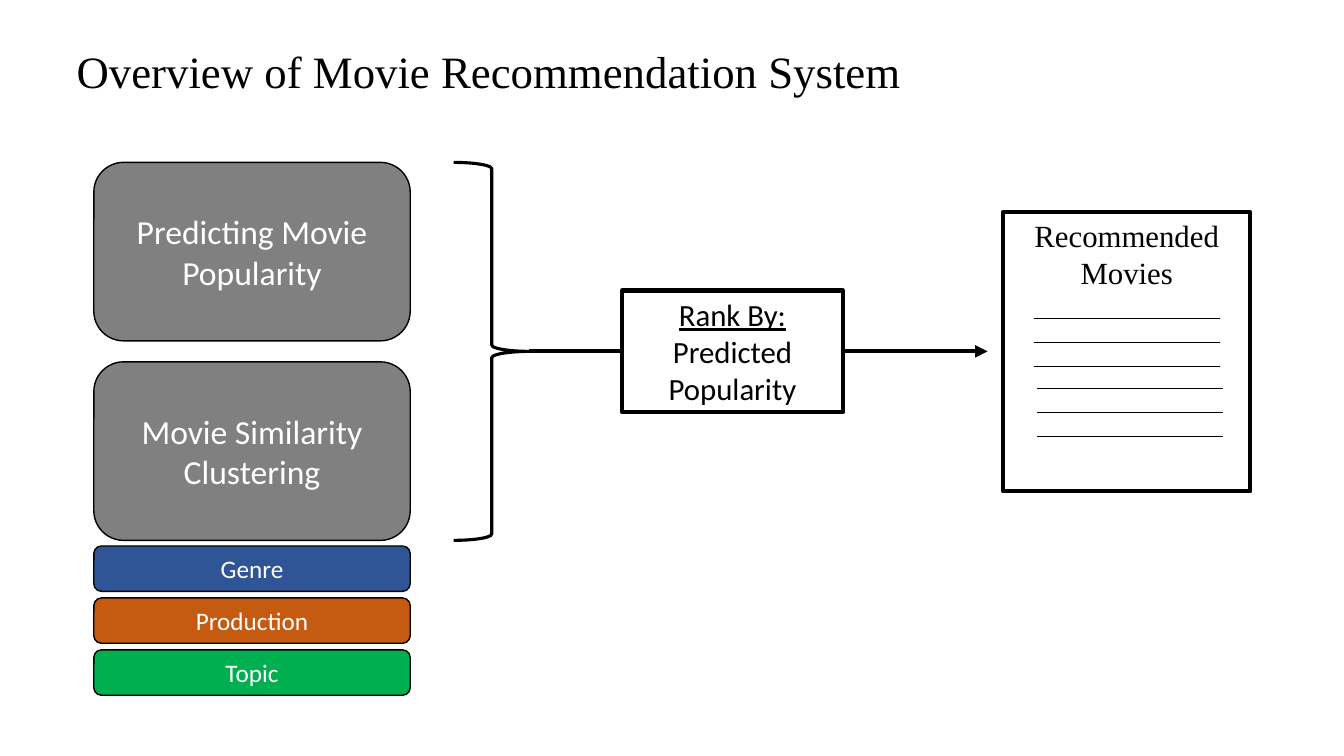
from lxml import etree
from pptx import Presentation
from pptx.dml.color import RGBColor
from pptx.enum import shapes as kinds, text as t
from pptx.oxml import ns
from pptx.util import Pt

COLORS = {"black": "000000", "white": "FFFFFF", "gray": "808080",
          "blue": "2F5597", "orange": "C55A11", "green": "00B050"}
SERIF, SANS = "Times New Roman", "Calibri"

presentation = Presentation()
presentation.slide_width, presentation.slide_height = Pt(960), Pt(540)
slide = presentation.slides.add_slide(presentation.slide_layouts[5])


def add_box(kind, box, fill, line_width, lines=(), size=22, color="black", font=SANS):
    shape = slide.shapes.add_shape(kind, *map(Pt, box))
    shape.shadow.inherit = False
    if fill:
        shape.fill.solid()
        shape.fill.fore_color.rgb = RGBColor.from_string(COLORS[fill])
    else:
        shape.fill.background()
    shape.line.color.rgb = RGBColor.from_string(COLORS["black"])
    shape.line.width = Pt(line_width)
    frame = shape.text_frame
    frame.word_wrap = True
    frame.vertical_anchor = t.MSO_ANCHOR.MIDDLE
    frame.text = "\n".join(lines)
    for paragraph in frame.paragraphs:
        paragraph.alignment = t.PP_ALIGN.CENTER
        paragraph.font.name, paragraph.font.size = font, Pt(size)
        paragraph.font.color.rgb = RGBColor.from_string(COLORS[color])
    return shape


def add_line(x1, x2, y, width):
    connector = slide.shapes.add_connector(
        kinds.MSO_CONNECTOR.STRAIGHT, Pt(x1), Pt(y), Pt(x2), Pt(y))
    connector.line.color.rgb = RGBColor.from_string(COLORS["black"])
    connector.line.width = Pt(width)
    etree.SubElement(connector.element.spPr, ns.qn("a:effectLst"))
    return connector


# Title
title = slide.shapes.title
title.left, title.top, title.width, title.height = Pt(47.5), Pt(27.5), Pt(609), Pt(46)
title.text_frame.text = "Overview of Movie Recommendation System"
title.text_frame.word_wrap = False
heading = title.text_frame.paragraphs[0]
heading.alignment = t.PP_ALIGN.LEFT
heading.font.name, heading.font.size = SERIF, Pt(32)
heading.font.color.rgb = RGBColor.from_string(COLORS["black"])

# Two models, then the clustering features
ROUNDED = kinds.MSO_SHAPE.ROUNDED_RECTANGLE
LEFT, TOP, WIDTH = 67, 116, 226
for i, label in enumerate(["Predicting Movie Popularity", "Movie Similarity Clustering"]):
    add_box(ROUNDED, (LEFT, TOP + i * 142.5, WIDTH, 127.5), "gray", 1, [label], 24, "white")
features = [("Genre", "blue"), ("Production", "orange"), ("Topic", "green")]
for i, (label, fill) in enumerate(features):
    add_box(ROUNDED, (LEFT, 390 + i * 37.1, WIDTH, 32.4), fill, 1, [label], 18, "white")

# Brace and arrow through the ranking step
MIDDLE = TOP + 135
add_box(kinds.MSO_SHAPE.RIGHT_BRACE, (324, TOP, 54.5, 270), None, 2.25)
arrow = add_line(378, 705.5, MIDDLE, 3)
etree.SubElement(arrow.line._get_or_add_ln(), ns.qn("a:tailEnd"), type="triangle")
ranking = add_box(kinds.MSO_SHAPE.RECTANGLE, (444.5, MIDDLE - 43.5, 157.5, 87), "white", 3,
                  ["Rank By:", "Predicted Popularity"])
ranking.text_frame.paragraphs[0].font.underline = True

# Recommended list
document = add_box(kinds.MSO_SHAPE.RECTANGLE, (716.5, 151.5, 176.5, 199.5), "white", 3,
                   ["Recommended Movies"], font=SERIF)
document.text_frame.vertical_anchor = t.MSO_ANCHOR.TOP
for x, y in [(738.5, 227.5), (740.5, 277.3)]:
    for row in range(3):
        add_line(x, x + 133, y + row * 17.2, 0.5)

presentation.save("out.pptx")
